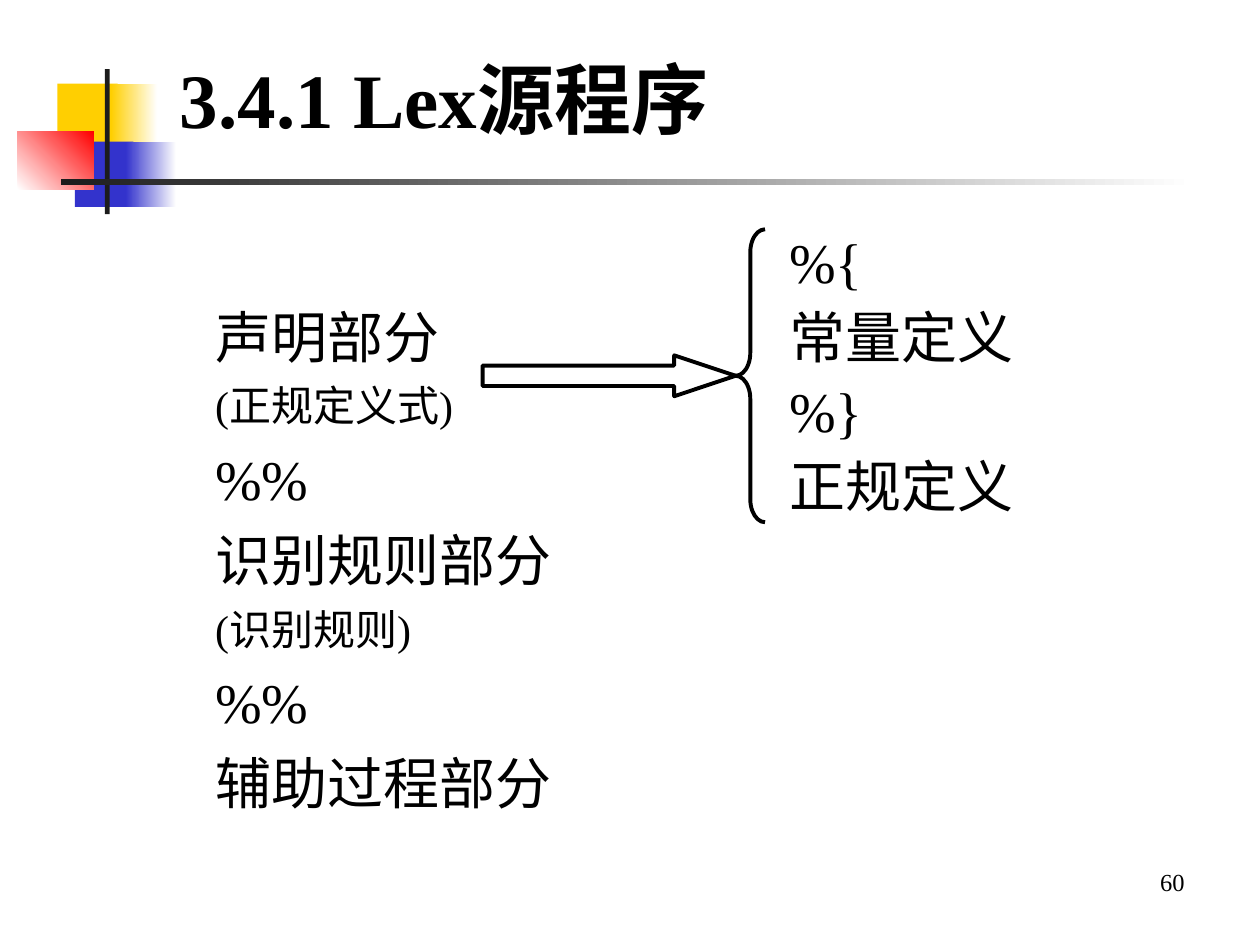
from pptx import Presentation
from pptx.dml.color import RGBColor
from pptx.enum.shapes import MSO_SHAPE as SHAPE
from pptx.enum.text import MSO_ANCHOR as ANCHOR, PP_ALIGN as ALIGN
from pptx.util import Inches, Pt

W, H = Inches(10), Inches(7.5)
FONT = "Times New Roman"
BLACK, WHITE, DARK = "000000", "FFFFFF", "1C1C1C"
YELLOW, BLUE, RED = "FFCF01", "3333CC", "FF0000"


def color(value):
    return RGBColor.from_string(value)


def slide_box(x, y, w, h):
    return [round(v) for v in (W * x / 100, H * y / 100, W * w / 100, H * h / 100)]


def within(box, x, y, w, h):
    left, top, width, height = box
    return [round(v) for v in (left + width * x, top + height * y, width * w, height * h)]


def add_block(s, box, colors, angle=0):
    sp = s.shapes.add_shape(SHAPE.RECTANGLE, *box)
    sp.shadow.inherit = False
    sp.line.fill.background()
    if len(colors) == 1:
        sp.fill.solid()
        sp.fill.fore_color.rgb = color(colors[0])
        return
    sp.fill.gradient()
    sp.fill.gradient_angle = angle
    for stop, value in zip(sp.fill.gradient_stops, colors):
        stop.color.rgb = color(value)


def add_outline(s, kind, box, adjustments):
    sp = s.shapes.add_shape(kind, *box)
    sp.shadow.inherit = False
    sp.fill.background()
    sp.line.color.rgb = color(BLACK)
    sp.line.width = Pt(2.25)
    for i, value in enumerate(adjustments):
        sp.adjustments[i] = value


def add_text(s, box, lines, anchor=ANCHOR.TOP, hanging=False, bold=False, **layout):
    tf = s.shapes.add_textbox(*box).text_frame
    tf.word_wrap = True
    tf.vertical_anchor = anchor
    for i, (text, size) in enumerate(lines):
        p = tf.paragraphs[0] if i == 0 else tf.add_paragraph()
        if hanging:
            pPr = p._p.get_or_add_pPr()
            pPr.set("marL", str(Inches(0.38)))
            pPr.set("indent", str(Inches(-0.38)))
        if i:
            p.space_before = Pt(size / 4)
        for name, value in layout.items():
            setattr(p, name, value)
        r = p.add_run()
        r.text = text
        for name, value in {"name": FONT, "size": Pt(size), "bold": bold}.items():
            setattr(r.font, name, value)
        r.font.color.rgb = color(BLACK)


def add_ornament(s, box):
    blocks = [
        ((0.25, 0.1, 0.38, 0.45), [YELLOW], 0),
        ((0.59, 0.1, 0.29, 0.45), [YELLOW, WHITE], 0),
        ((0.36, 0.5, 0.37, 0.45), [BLUE], 0),
        ((0.68, 0.5, 0.32, 0.45), [BLUE, WHITE], 0),
        ((0, 0.43, 0.48, 0.4), [WHITE, RED], 45),
        ((0.55, 0, 0.03, 1), [DARK], 0),
        ((0.27, 0.76, 7.14, 0.04), [DARK, WHITE], 0),
    ]
    for shares, colors, angle in blocks:
        add_block(s, within(box, *shares), colors, angle)


def add_program_parts(s, box):
    lines = [("声明部分", 32), ("(正规定义式)", 24), ("%%", 32), ("识别规则部分", 32),
             ("(识别规则)", 24), ("%%", 32), ("辅助过程部分", 32)]
    add_text(s, box, lines, hanging=True)


def add_declarations(s, box):
    add_outline(s, SHAPE.RIGHT_ARROW, within(box, 0, 0.4, 0.43, 0.13), [0.5, 1.5])
    add_outline(s, SHAPE.LEFT_BRACE, within(box, 0.43, 0, 0.05, 0.93), [0.78, 0.5])
    lines = [(text, 32) for text in ("%{", "常量定义", "%}", "正规定义")]
    add_text(s, within(box, 0.5, 0, 0.5, 1), lines, hanging=True, line_spacing=0.9)


def main():
    prs = Presentation()
    prs.slide_width, prs.slide_height = W, H
    s = prs.slides.add_slide(prs.slide_layouts[6])
    add_ornament(s, slide_box(1.4, 7.33, 12.6, 15.33))
    add_text(s, slide_box(71.7, 91.07, 23.3, 6.93), [("60", 14)], alignment=ALIGN.RIGHT)
    add_text(s, slide_box(13.3, 6.93, 67.4, 6.93), [("3.4.1 Lex源程序", 44)],
             anchor=ANCHOR.MIDDLE, bold=True)
    add_program_parts(s, slide_box(16.1, 31.33, 32.7, 57.47))
    add_declarations(s, slide_box(38.3, 24.27, 46.7, 33.33))
    prs.save("out.pptx")


if __name__ == "__main__":
    main()
